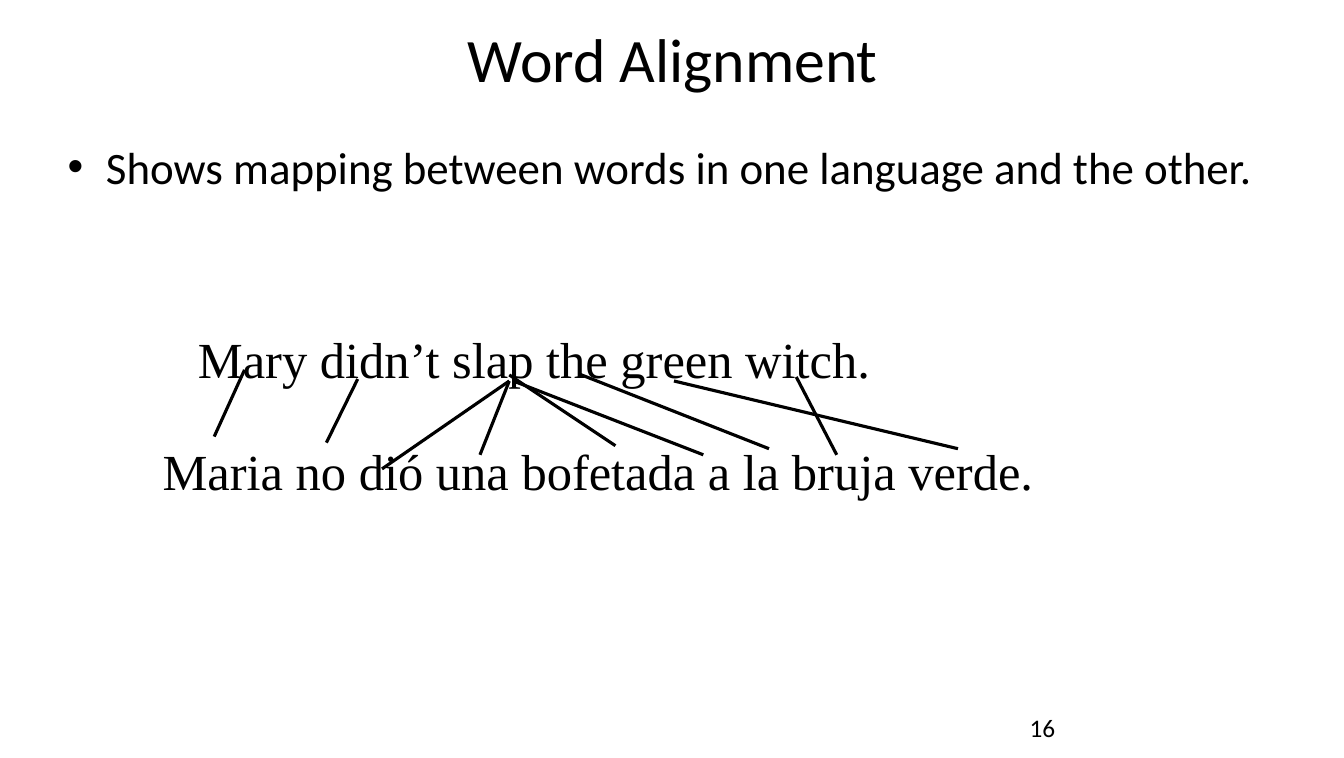
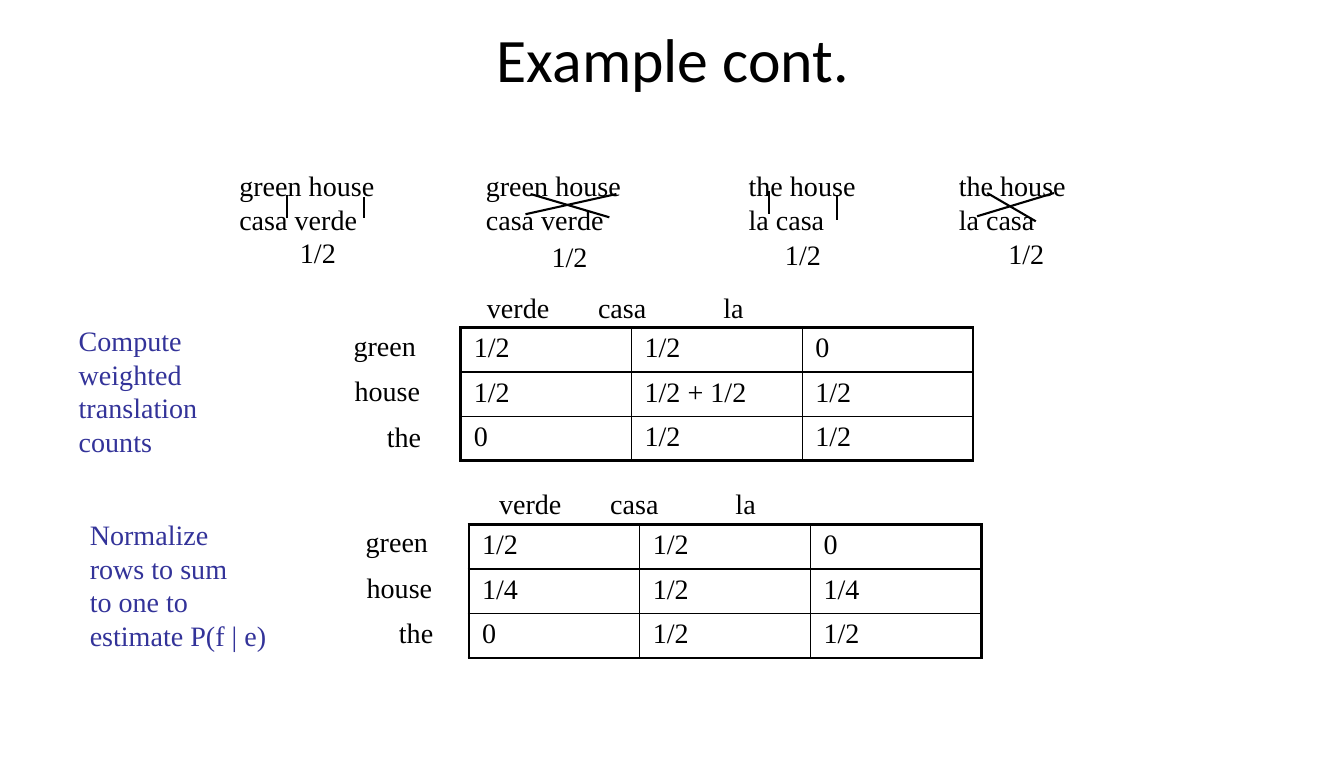
from lxml.etree import SubElement
from pptx import Presentation
from pptx.dml.color import RGBColor
from pptx.enum.shapes import MSO_CONNECTOR
from pptx.enum.text import MSO_ANCHOR, PP_ALIGN
from pptx.oxml.ns import qn
from pptx.util import Pt

PX = 9144
BLACK = "000000"
BLUE = "333399"
SANS = "Calibri"
SERIF = "Times New Roman"
TITLE = {"size": Pt(44), "name": SANS}
BODY = {"size": Pt(32), "name": SANS}
PAGE = {"size": Pt(18), "name": SANS}
LARGE = {"size": Pt(36), "name": SERIF}
SMALL = {"size": Pt(20), "name": SERIF}

LINKS = [
    (242, 366, 212, 432), (354, 375, 323, 438), (504, 377, 378, 464),
    (504, 377, 475, 450), (504, 371, 609, 441), (508, 377, 696, 450),
    (573, 370, 761, 444), (667, 377, 948, 444), (788, 373, 828, 450),
]
PAIRS = [
    (227, 154, ["green house", "casa verde"], (287, 228),
     [(284, 193, 284, 216), (360, 195, 360, 216)]),
    (471, 154, ["green house", "casa verde"], (536, 232),
     [(525, 192, 603, 215), (610, 192, 520, 212)]),
    (731, 127, ["the house", "la casa"], (767, 230),
     [(761, 189, 761, 212), (828, 193, 828, 218)]),
    (939, 127, ["the house", "la casa"], (988, 229),
     [(977, 191, 1025, 219), (1043, 191, 967, 214)]),
]
COUNTS = [["1/2", "1/2", "0"], ["1/2", "1/2 + 1/2", "1/2"], ["0", "1/2", "1/2"]]
PROBS = [["1/2", "1/2", "0"], ["1/4", "1/2", "1/4"], ["0", "1/2", "1/2"]]
ROWS = [("green", 0, 82), ("house", 1, 85), ("the", 33, 54)]


def color(code):
    return RGBColor.from_string(code)


def px(*nums):
    return [num * PX for num in nums]


def style(item, values):
    for key, value in values.items():
        setattr(item, key, value)


def write(para, text, font, ink=BLACK):
    run = para.add_run()
    run.text = text
    style(run.font, font)
    run.font.color.rgb = color(ink)


def add_text(slide, box, lines, font, ink=BLACK, **frame):
    body = slide.shapes.add_textbox(*px(*box)).text_frame
    style(body, {"word_wrap": False, **frame})
    for num, text in enumerate(lines):
        para = body.add_paragraph() if num else body.paragraphs[0]
        write(para, text, font, ink)
    return body.paragraphs


def indent(para, left, first=0):
    props = para._p.get_or_add_pPr()
    props.set("marL", str(left * PX))
    props.set("indent", str(first * PX))
    return props


def add_title(slide, text):
    paras = add_text(slide, (2, 1, 1328, 112), [text], TITLE,
                     word_wrap=True, vertical_anchor=MSO_ANCHOR.MIDDLE)
    paras[0].alignment = PP_ALIGN.CENTER


def add_line(slide, ends, width):
    line = slide.shapes.add_connector(MSO_CONNECTOR.STRAIGHT, *px(*ends))
    line.line.color.rgb = color(BLACK)
    line.line.width = Pt(width)
    SubElement(line._element.spPr, qn("a:effectLst"))


def add_edge(cell, side, outer):
    width = Pt(2.25 if outer else 1)
    edge = SubElement(cell._tc.get_or_add_tcPr(), qn("a:ln" + side), w=str(width))
    fill = SubElement(edge, qn("a:solidFill"))
    SubElement(fill, qn("a:srgbClr"), val=BLACK)


def add_grid(slide, left, top, data):
    rows, cols = len(data), len(data[0])
    box = px(left, top, 169 * cols, 44 * rows)
    grid = slide.shapes.add_table(rows, cols, *box).table
    style(grid, {"first_row": False, "horz_banding": False})
    side, end = px(13, 5)
    inset = {"margin_left": side, "margin_right": side,
             "margin_top": end, "margin_bottom": end}
    for row, texts in enumerate(data):
        for col, text in enumerate(texts):
            cell = grid.cell(row, col)
            style(cell, inset)
            edges = {"L": col == 0, "R": col == cols - 1,
                     "T": row == 0, "B": row == rows - 1}
            for name, outer in edges.items():
                add_edge(cell, name, outer)
            cell.fill.background()
            write(cell.text_frame.paragraphs[0], text, SMALL)


def add_labels(slide, left, top):
    for num, (text, shift, width) in enumerate(ROWS):
        add_text(slide, (left + shift, top + 45 * num, width, 44), [text], SMALL)
    paras = add_text(slide, (left + 132, top - 38, 277, 44),
                     ["verde\tcasa\tla"], SMALL, word_wrap=True)
    tabs = SubElement(paras[0]._p.get_or_add_pPr(), qn("a:tabLst"))
    for stop in px(110, 234):
        SubElement(tabs, qn("a:tab"), pos=str(stop), algn="l")


def add_words(slide):
    add_title(slide, "Word Alignment")
    paras = add_text(
        slide, (57, 133, 1225, 537),
        ["Shows mapping between words in one language and the other."],
        BODY, word_wrap=True)
    props = indent(paras[0], 38, -38)
    SubElement(props, qn("a:buFont"), typeface="Arial")
    SubElement(props, qn("a:buChar"), char="•")
    add_text(slide, (1009, 700, 277, 50), ["16"], PAGE, word_wrap=True)
    paras = add_text(
        slide, (151, 320, 891, 178),
        ["Mary didn’t slap the green witch.",
         "Maria no dió una bofetada a la bruja verde."], LARGE)
    indent(paras[0], 35)
    paras[1].space_before = Pt(36)
    for ends in LINKS:
        add_line(slide, ends, 2.25)


def add_sample(slide):
    add_title(slide, "Example cont.")
    for left, width, words, spot, lines in PAIRS:
        add_text(slide, (left, 162, width, 78), words, SMALL)
        add_text(slide, (*spot, 56, 44), ["1/2"], SMALL)
        for ends in lines:
            add_line(slide, ends, 1.5)
    add_text(slide, (68, 315, 145, 145),
             ["Compute", "weighted", "translation", "counts"], SMALL, BLUE)
    add_grid(slide, 456, 324, COUNTS)
    add_labels(slide, 340, 320)
    add_text(slide, (79, 507, 196, 145),
             ["Normalize", "rows to sum", "to one to", "estimate P(f | e)"],
             SMALL, BLUE)
    add_grid(slide, 464, 519, PROBS)
    add_labels(slide, 352, 514)


def main():
    deck = Presentation()
    wide, high = px(1330, 750)
    style(deck, {"slide_width": wide, "slide_height": high})
    for build in (add_words, add_sample):
        build(deck.slides.add_slide(deck.slide_layouts[6]))
    deck.save("out.pptx")


if __name__ == "__main__":
    main()
